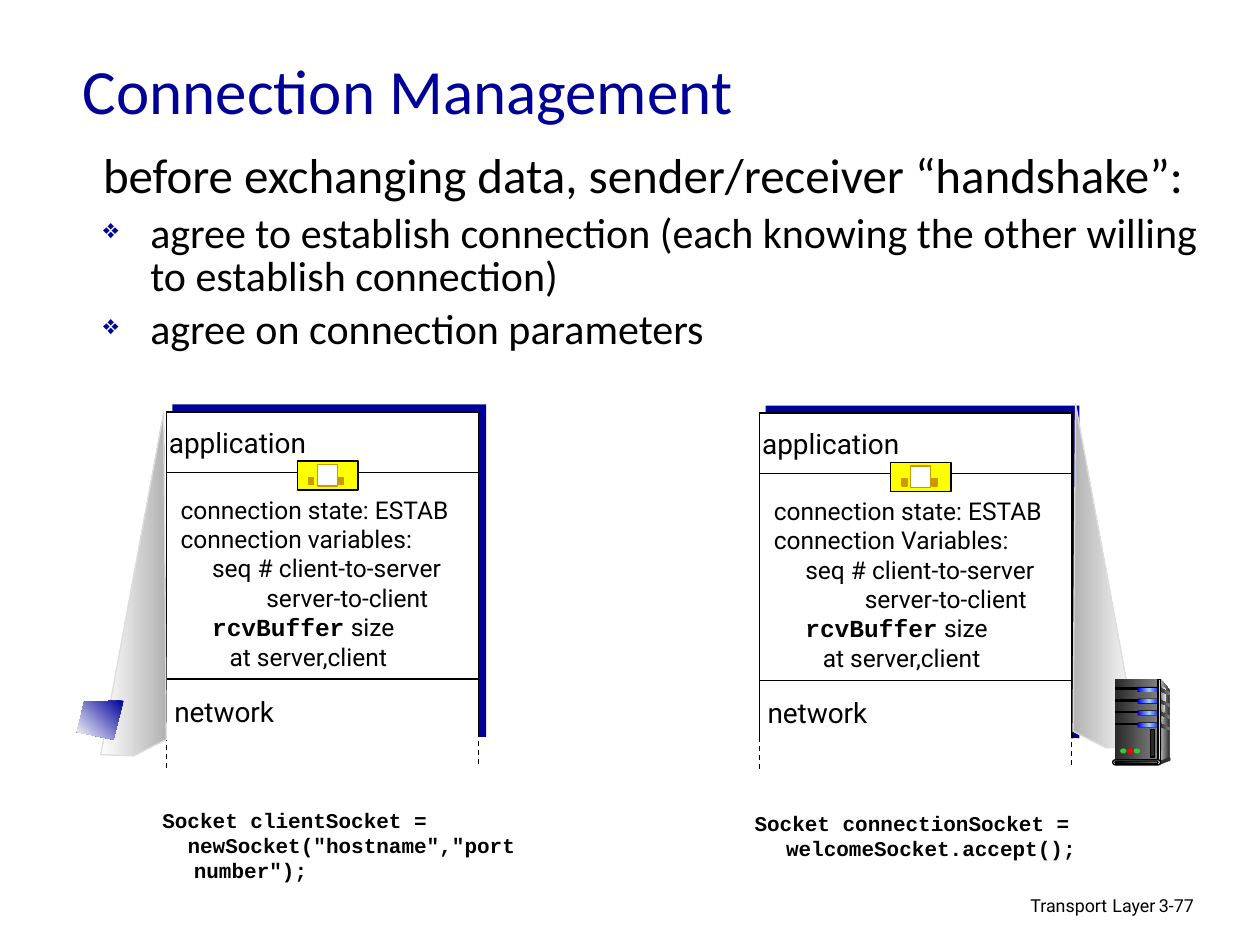
from dataclasses import dataclass, field
import copy

import pptx
import pptx.dml.color
import pptx.enum.dml
import pptx.enum.shapes
import pptx.enum.text
import pptx.oxml.ns
import pptx.util
from lxml import etree

Pt = pptx.util.Pt
RGB = pptx.dml.color.RGBColor
Shape = pptx.enum.shapes.MSO_SHAPE
Align = pptx.enum.text.PP_ALIGN
Anchor = pptx.enum.text.MSO_ANCHOR
qn = pptx.oxml.ns.qn

BLACK, WHITE = RGB(0, 0, 0), RGB(255, 255, 255)
NAVY = RGB(0x00, 0x00, 0x99)
YELLOW, OCHRE = RGB(0xFF, 0xFF, 0x00), RGB(0xCC, 0x99, 0x00)
COAL, DARK = RGB(0x29, 0x29, 0x29), RGB(0x33, 0x33, 0x33)
GRAY, SILVER = RGB(0x80, 0x80, 0x80), RGB(0xB2, 0xB2, 0xB2)
LIGHT, PALE = RGB(0xDD, 0xDD, 0xDD), RGB(0xF8, 0xF8, 0xF8)
BLUE, SKY = RGB(0x00, 0x00, 0xFF), RGB(0x99, 0xCC, 0xFF)
GREEN, RED = RGB(0x33, 0xCC, 0x33), RGB(0xFF, 0x00, 0x00)
SANS, TITLE, MONO = "Roboto", "Calibri", "Courier New"


@dataclass
class Gradient:
    colors: list[RGB]
    angle: float = 0  # counter-clockwise degrees


@dataclass
class Span:
    text: str
    size: float = 14
    font: str = SANS
    color: RGB = BLACK
    bold: bool = False


@dataclass
class Para:
    spans: list[Span]
    margin: float = 0
    indent: float = 0
    spacing: float | None = None
    before: float = 0
    bullet: bool = False
    align: Align = field(default=Align.LEFT)


@dataclass
class Host:
    left: float
    top: float
    variables: str
    nested: float


def paint(shape, fill: RGB | Gradient, line: RGB | None = None) -> None:
    shape.shadow.inherit = False
    if isinstance(fill, Gradient):
        shape.fill.gradient()
        shape.fill.gradient_angle = fill.angle
        stops = shape._element.spPr.find(qn("a:gradFill")).find(qn("a:gsLst"))
        while len(stops) < len(fill.colors):
            stops.append(copy.deepcopy(stops[0]))
        for index, (stop, color) in enumerate(zip(shape.fill.gradient_stops, fill.colors)):
            stop.color.rgb = color
            stop.position = index / (len(fill.colors) - 1)
    else:
        shape.fill.solid()
        shape.fill.fore_color.rgb = fill
    if line is None:
        shape.line.fill.background()
    else:
        shape.line.color.rgb = line
        shape.line.width = Pt(0.75)


def add_block(shapes, left: float, top: float, width: float, height: float,
              fill: RGB | Gradient, line: RGB | None = None, kind: Shape = Shape.RECTANGLE) -> None:
    block = shapes.add_shape(kind, Pt(left), Pt(top), Pt(width), Pt(height))
    if kind == Shape.ROUNDED_RECTANGLE:
        block.adjustments[0] = 0.5
    paint(block, fill, line)


def add_outline(shapes, points: list[tuple[float, float]], fill: RGB | Gradient,
                line: RGB | None = None) -> None:
    corners = [(Pt(x), Pt(y)) for x, y in points]
    builder = shapes.build_freeform(*corners[0], scale=1.0)
    builder.add_line_segments(corners[1:], close=True)
    paint(builder.convert_to_shape(), fill, line)


def add_line(shapes, x1: float, y1: float, x2: float, y2: float, dashed: bool = False) -> None:
    line = shapes.add_connector(pptx.enum.shapes.MSO_CONNECTOR.STRAIGHT, Pt(x1), Pt(y1), Pt(x2), Pt(y2))
    line.line.color.rgb = BLACK
    line.line.width = Pt(0.75)
    if dashed:
        line.line.dash_style = pptx.enum.dml.MSO_LINE.DASH
    etree.SubElement(line._element.spPr, qn("a:effectLst"))


def add_text(shapes, left: float, top: float, width: float, height: float, paras: list[Para],
             wrap: bool = True, anchor: Anchor = Anchor.TOP) -> None:
    frame = shapes.add_textbox(Pt(left), Pt(top), Pt(width), Pt(height)).text_frame
    frame.word_wrap = wrap
    frame.vertical_anchor = anchor
    for index, item in enumerate(paras):
        para = frame.add_paragraph() if index else frame.paragraphs[0]
        para.alignment = item.align
        para.line_spacing = item.spacing
        para.space_before = Pt(item.before)
        props = para._p.get_or_add_pPr()
        props.set("marL", str(Pt(item.margin)))
        props.set("indent", str(Pt(item.indent)))
        if item.bullet:
            tint = etree.SubElement(props, qn("a:buClr"))
            etree.SubElement(tint, qn("a:srgbClr"), val=str(NAVY))
            etree.SubElement(props, qn("a:buSzPct"), val="65000")
            etree.SubElement(props, qn("a:buChar"), char="❖")
        for span in item.spans:
            run = para.add_run()
            run.text = span.text
            run.font.name, run.font.size = span.font, Pt(span.size)
            run.font.bold, run.font.color.rgb = span.bold, span.color


def add_host(shapes, host: Host) -> None:
    x, y = host.left, host.top
    add_block(shapes, x + 3.5, y - 4.3, 179.3, 190, NAVY)
    add_block(shapes, x, y, 178.6, 194.4, WHITE, BLACK)
    for rule in (34.6, 152.6):
        add_line(shapes, x, y + rule, x + 178.6, y + rule)
    add_text(shapes, x + 1.1, y + 43.7, 183.6, 125.3, [
        Para([Span("connection state: ESTAB")]),
        Para([Span(host.variables)]),
        Para([Span("seq # client-to-server")], margin=18),
        Para([Span("server-to-client")], margin=host.nested),
        Para([Span("rcvBuffer", font=MONO, bold=True), Span(" size")], margin=18),
        Para([Span("at server,client")], margin=28)])
    # Socket between application and transport
    socket = shapes.add_group_shape().shapes
    add_block(socket, x + 74.9, y + 28.1, 34.6, 16.6, YELLOW, BLACK)
    add_block(socket, x + 86.4, y + 30.2, 11.5, 12.2, WHITE, OCHRE)
    for foot in (81.4, 98.6):
        add_block(socket, x + foot, y + 37.4, 2.9, 4.3, OCHRE, OCHRE)
    for label, left, top, width in (("application", -7.9, 4.3, 97.2), ("network", -5, 157.7, 76.3)):
        add_text(shapes, x + left, y + top, width, 26.6,
                 [Para([Span(label, 16)], align=Align.CENTER)], wrap=False)
    # Open bottom edge
    add_block(shapes, x - 2.2, y + 185.8, 183.6, 14.4, WHITE)
    add_line(shapes, x, y + 185, x, y + 203.7, dashed=True)
    add_line(shapes, x + 178.4, y + 182.9, x + 178.4, y + 201.6, dashed=True)


def add_server(shapes, x: float, y: float) -> None:
    tower = shapes.add_group_shape().shapes
    pill, oval = Shape.ROUNDED_RECTANGLE, Shape.OVAL

    def outline(points: list[tuple[float, float]], fill: RGB | Gradient) -> None:
        add_outline(tower, [(x + dx, y + dy) for dx, dy in points], fill)

    outline([(27.4, 0), (32.4, 5.8), (32.4, 44.6), (25.9, 46.8)], Gradient([LIGHT, DARK]))
    add_block(tower, x + 1.4, y, 24.5, 46.8, Gradient([COAL, GRAY]))
    outline([(27.4, 2.9), (31, 6.5), (28.5, 25), (27.4, 45.4)], Gradient([GRAY, PALE]))
    # Drive bays and side vents
    for bay in range(4):
        slot = 5 + 6.75 * bay
        add_block(tower, x + 1.8, y + slot, 13.7, 0.7, BLACK, BLACK)
        add_block(tower, x + 14.2, y + slot - 0.6, 13.7, 2.9, BLACK)
        add_block(tower, x + 14.4, y + slot - 0.2, 13, 2.3, Gradient([BLUE, SKY, BLUE]), kind=pill)
        outline([(27, slot), (32.4, slot + 2.4), (32.4, slot + 4), (27, slot + 1.8)],
                Gradient([COAL, GRAY]))
    add_block(tower, x + 25.9, y, 1.4, 46.8, Gradient([DARK, LIGHT, DARK]), BLACK)
    # Base, lights and grille
    add_block(tower, x + 31.7, y + 44.6, 1.4, 2.2, DARK, kind=oval)
    outline([(26.6, 46.8), (26.6, 49), (32.4, 46.8), (32.4, 44.6)], DARK)
    add_block(tower, x, y + 46.1, 27.4, 2.9, LIGHT, BLACK, pill)
    add_block(tower, x + 1.4, y + 46.8, 24.5, 1.4, Gradient([BLACK, GRAY]), BLACK, pill)
    for index, color in enumerate((GREEN, RED, GREEN)):
        add_block(tower, x + 4.3 + 3.9 * index, y + 39.6, 3.6, 2.9, color, kind=oval)
    add_block(tower, x + 21.6, y + 28.8, 2.2, 15.8, COAL, BLACK)


def main() -> None:
    deck = pptx.Presentation()
    deck.slide_width, deck.slide_height = Pt(720), Pt(540)
    page = deck.slides.add_slide(deck.slide_layouts[6])
    shapes = page.shapes

    # Footer
    add_text(shapes, 439.2, 507.6, 228.2, 22.3, [Para(
        [Span("Transport", 10.2), Span(" ", 11.9), Span("Layer", 10.2)], spacing=0.9, align=Align.RIGHT)])
    add_text(shapes, 655.2, 509, 53.3, 21.6, [Para([Span("3-77", 10.2)], spacing=0.9)])

    # Title and body
    add_text(shapes, 40.3, 15.1, 612, 72,
             [Para([Span("Connection Management", 36, TITLE, NAVY)])], anchor=Anchor.MIDDLE)
    points = ["agree to establish connection (each knowing the other willing to establish connection)",
              "agree on connection parameters"]
    add_text(shapes, 51.8, 84.2, 656.6, 172, [
        Para([Span("before exchanging data, sender/receiver “handshake”:", 28, TITLE)], 27, -27, 0.85, 7),
        *(Para([Span(point, 24, TITLE)], 27, -27, 0.85, 6, bullet=True) for point in points)])

    # Hosts with the beams that lead to their devices
    wedge = [(57.6, 431.3), (93.6, 235.4), (95, 422.6), (76.3, 432)]
    add_host(shapes, Host(95, 235.4, "connection variables:", 49))
    add_outline(shapes, wedge, Gradient([WHITE, SILVER]), LIGHT)
    add_host(shapes, Host(434, 236.1, "connection Variables:", 52))
    add_outline(shapes, [(708.2 - x, y - 4.7) for x, y in wedge], Gradient([SILVER, WHITE]), LIGHT)

    # Socket calls
    def code(text: str, indent: float) -> Para:
        return Para([Span(text, 12, MONO, bold=True)], 18, indent)

    add_text(shapes, 85.7, 457.9, 227.5, 50.4, [
        code("Socket clientSocket =", -18), code('newSocket("hostname","port number");', -3.6)])
    add_text(shapes, 424.1, 459.4, 227.5, 36, [
        code("Socket connectionSocket = welcomeSocket.accept();", -18)])

    # Client screen and server
    add_outline(shapes, [(70.6, 400.3), (48.2, 401), (43.9, 418.3), (64.8, 422.6)],
                Gradient([NAVY, WHITE], 225))
    add_server(shapes, 635.8, 388.1)
    deck.save("out.pptx")


if __name__ == "__main__":
    main()
